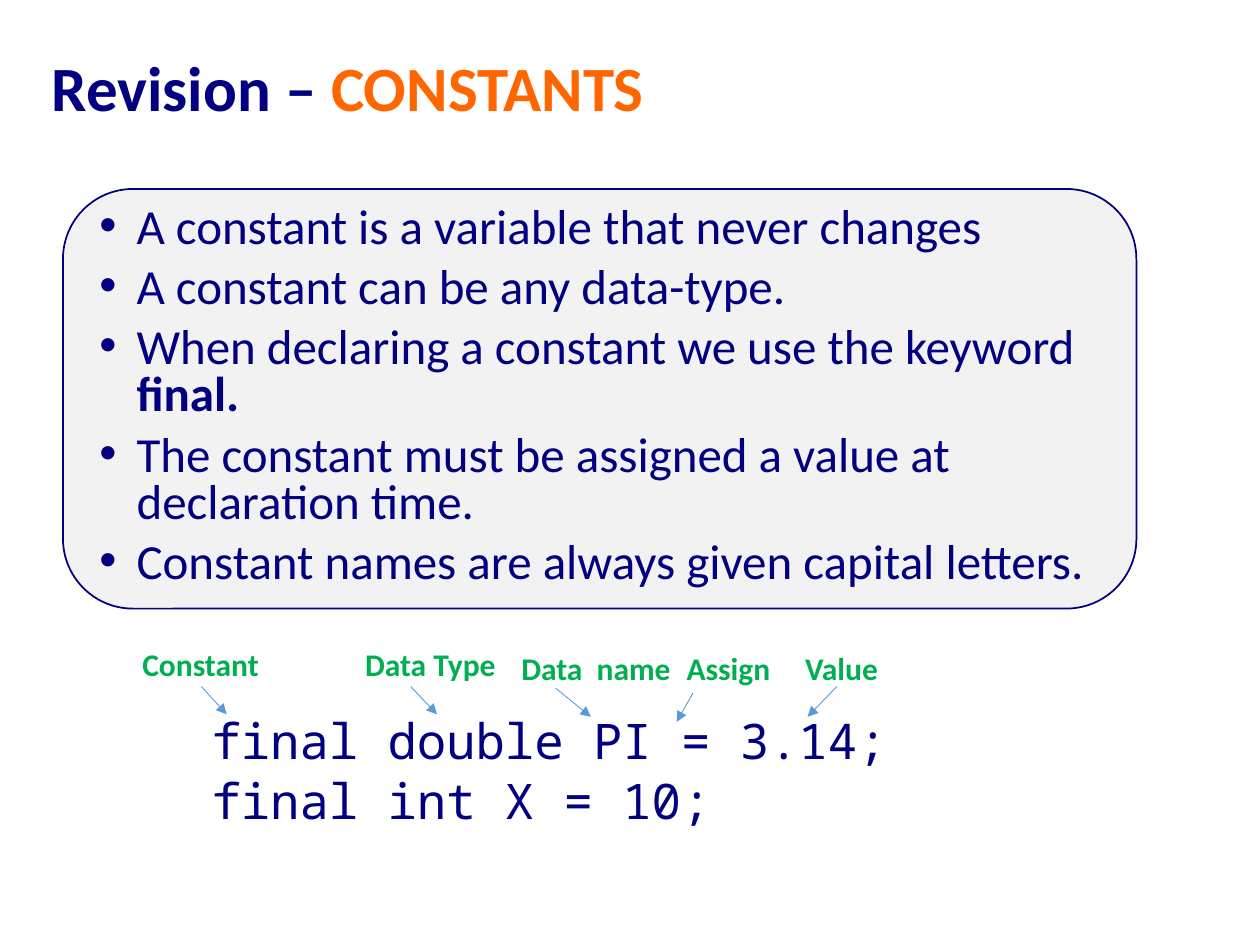
import pptx
import pptx.dml.color
import pptx.enum.shapes
import pptx.enum.text
import pptx.oxml
import pptx.oxml.ns
import pptx.util
from pptx.util import Cm

NAVY, ORANGE, GREEN, BLUE, GREY = "000080", "FF6600", "00B050", "5B9BD5", "F2F2F2"


def colour(value):
    return pptx.dml.color.RGBColor.from_string(value)


def add_span(para, text, size, shade, bold=False, face="Calibri"):
    span = para.add_run()
    span.text = text
    span.font.name = face
    span.font.size = pptx.util.Pt(size)
    span.font.bold = bold
    span.font.color.rgb = colour(shade)


deck = pptx.Presentation()
deck.slide_width, deck.slide_height = Cm(25.4), Cm(19.05)
page = deck.slides.add_slide(deck.slide_layouts[1])
title, body = page.shapes.title, page.placeholders[1]

# Rounded panel, placed behind the placeholders
panel = page.shapes.add_shape(
    pptx.enum.shapes.MSO_SHAPE.ROUNDED_RECTANGLE, Cm(1.27), Cm(3.81), Cm(21.64), Cm(8.46))
panel.shadow.inherit = False
panel.fill.solid()
panel.fill.fore_color.rgb = colour(GREY)
panel.line.color.rgb = colour(NAVY)
panel.line.width = pptx.util.Pt(1)
title.element.addprevious(panel.element)

# Title
title.left, title.top, title.width, title.height = Cm(0.79), Cm(0.61), Cm(18.31), Cm(2.46)
title.text_frame.auto_size = pptx.enum.text.MSO_AUTO_SIZE.NONE
title.text_frame.vertical_anchor = pptx.enum.text.MSO_ANCHOR.MIDDLE
para = title.text_frame.paragraphs[0]
para.alignment = pptx.enum.text.PP_ALIGN.LEFT
para.line_spacing = 0.9
add_span(para, "Revision – ", 36, NAVY, bold=True)
add_span(para, "CONSTANTS", 36, ORANGE, bold=True)

# Bullets, then code lines: (text, bold ending, is code, space before)
lines = [
    ("A constant is a variable that never changes", "", False, 0),
    ("A constant can be any data-type.", "", False, 7.5),
    ("When declaring a constant we use the keyword ", "final.", False, 7.5),
    ("The constant must be assigned a value at declaration time.", "", False, 7.5),
    ("Constant names are always given capital letters.", "", False, 7.5),
    ("final double PI = 3.14;", "", True, 76),
    ("final int X = 10;", "", True, 7.5),
]
body.left, body.top, body.width, body.height = Cm(1.75), Cm(4.04), Cm(21.9), Cm(14.22)
frame = body.text_frame
frame.auto_size = pptx.enum.text.MSO_AUTO_SIZE.NONE
for index, (text, ending, is_code, gap) in enumerate(lines):
    para = frame.paragraphs[0] if index == 0 else frame.add_paragraph()
    para.line_spacing = 0.8
    para.space_before = pptx.util.Pt(gap)
    properties = para._p.get_or_add_pPr()
    properties.set("marL", str(Cm(2.26 if is_code else 0.75)))
    properties.set("indent", str(Cm(0 if is_code else -0.75)))
    bullet = "<a:buNone %s/>" if is_code else '<a:buChar %s char="•"/>'
    properties.append(pptx.oxml.parse_xml(bullet % pptx.oxml.ns.nsdecls("a")))
    add_span(para, text, 28, NAVY, face="Noto Sans Mono" if is_code else "Calibri")
    if ending:
        add_span(para, ending, 28, NAVY, bold=True)

# Labels for the parts of the declaration: text, left, top, width, arrow start and end
labels = [
    ("Constant", 2.62, 12.88, 2.87, (4.06, 13.84), (4.57, 14.4)),
    ("Data Type", 7.11, 12.88, 3.18, (8.28, 13.84), (8.81, 14.4)),
    ("Data  name", 10.26, 12.95, 3.56, (11.2, 13.87), (11.91, 14.45)),
    ("Assign", 13.59, 12.95, 2.21, (13.97, 13.97), (13.64, 14.55)),
    ("Value", 15.98, 12.95, 1.98, (16.87, 13.84), (16.28, 14.45)),
]
for text, left, top, width, start, end in labels:
    box = page.shapes.add_textbox(Cm(left), Cm(top), Cm(width), Cm(1.02))
    box.text_frame.word_wrap = False
    box.text_frame.auto_size = pptx.enum.text.MSO_AUTO_SIZE.SHAPE_TO_FIT_TEXT
    add_span(box.text_frame.paragraphs[0], text, 18, GREEN, bold=True)

    arrow = page.shapes.add_connector(
        pptx.enum.shapes.MSO_CONNECTOR.STRAIGHT, *(Cm(value) for value in start + end))
    arrow.line.color.rgb = colour(BLUE)
    arrow.line.width = pptx.util.Pt(0.5)
    namespace = pptx.oxml.ns.nsdecls("a")
    arrow.line._get_or_add_ln().append(
        pptx.oxml.parse_xml('<a:tailEnd %s type="triangle"/>' % namespace))
    arrow.element.spPr.append(pptx.oxml.parse_xml("<a:effectLst %s/>" % namespace))

deck.save("out.pptx")
